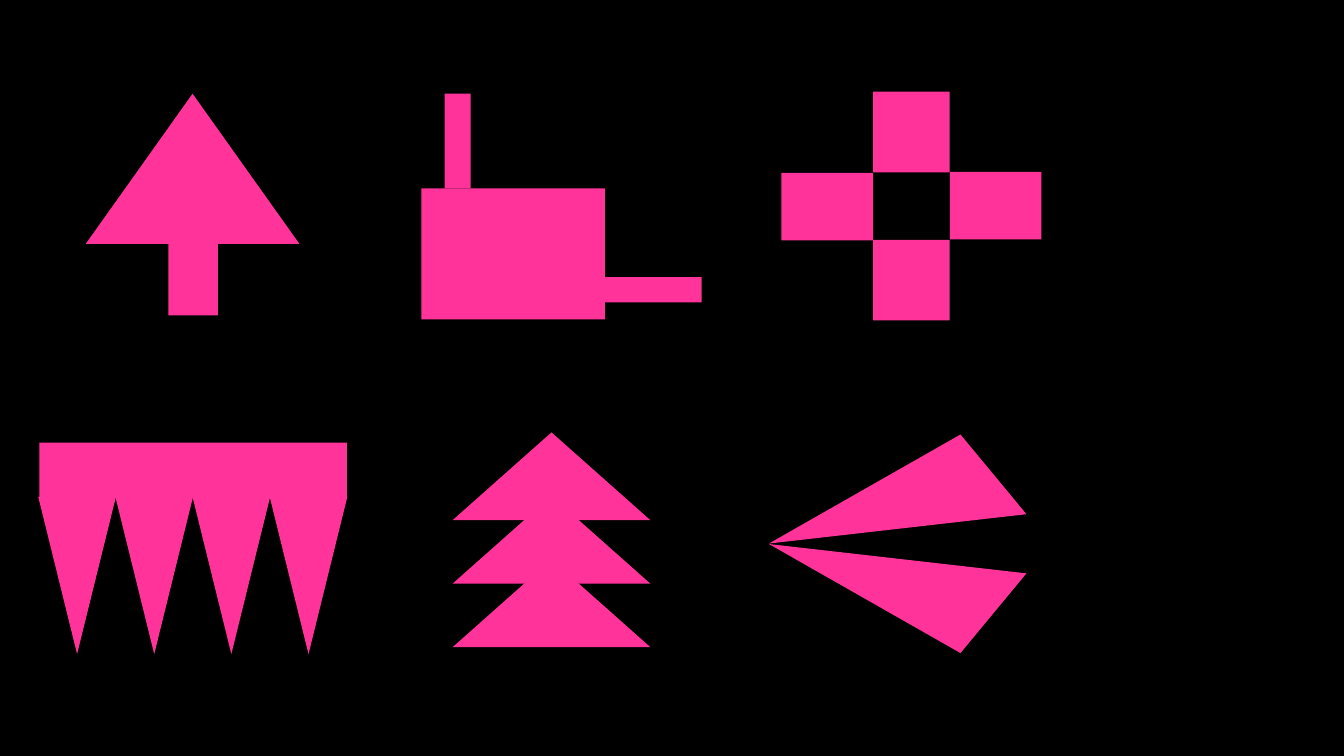
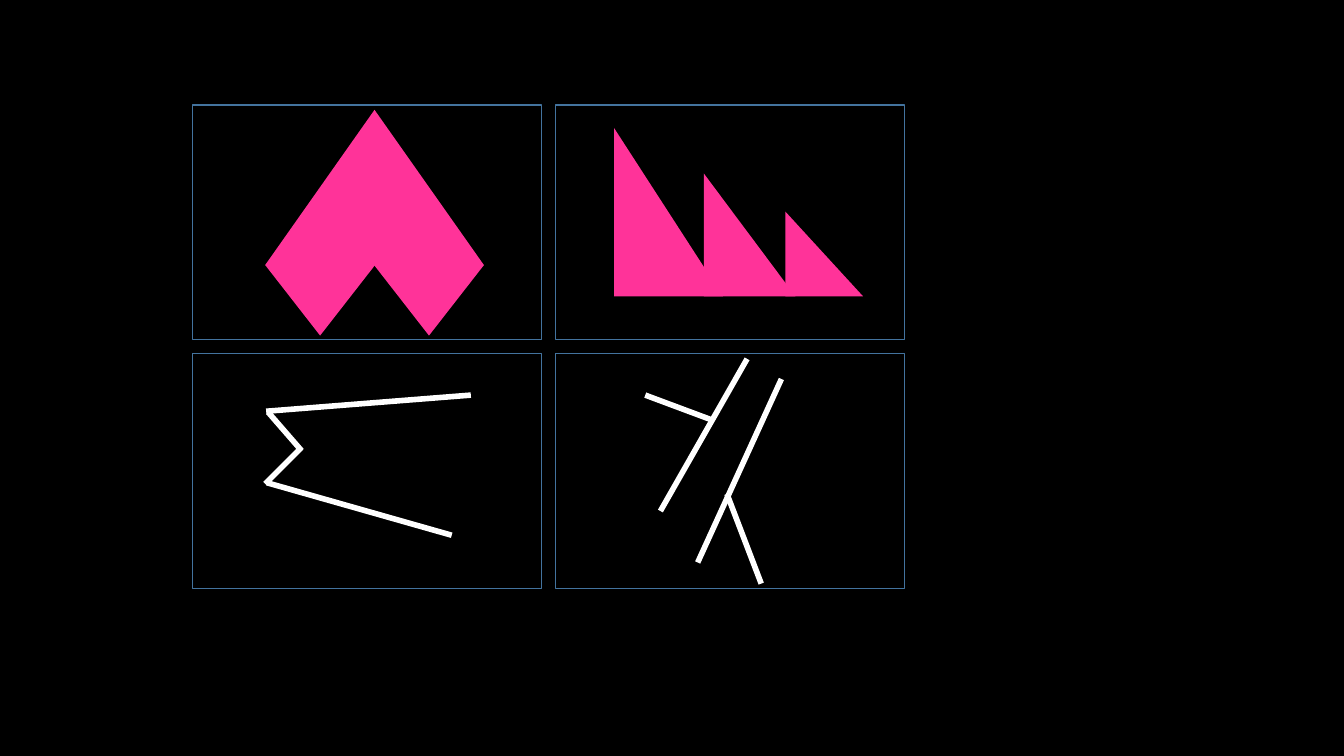
"""Build two slides of abstract figures, each figure placed in a cell of a grid."""
from dataclasses import dataclass

from lxml import etree
from pptx import Presentation
from pptx.dml.color import RGBColor
from pptx.enum.shapes import MSO_CONNECTOR, MSO_SHAPE
from pptx.oxml.ns import qn
from pptx.util import Inches, Pt

RECTANGLE = MSO_SHAPE.RECTANGLE
TRIANGLE = MSO_SHAPE.ISOSCELES_TRIANGLE
RIGHT_TRIANGLE = MSO_SHAPE.RIGHT_TRIANGLE
STRAIGHT = MSO_CONNECTOR.STRAIGHT


@dataclass(frozen=True)
class Theme:
    background: RGBColor = RGBColor.from_string("000000")
    figure: RGBColor = RGBColor.from_string("FF3399")
    frame: RGBColor = RGBColor.from_string("43739E")
    stroke: RGBColor = RGBColor.from_string("FFFFFF")
    frame_width: float = 1
    stroke_width: float = 4


THEME = Theme()
COLUMN_PITCH = 3.6
FRAME_WIDTH, FRAME_HEIGHT = 3.46, 2.33


def add_figure(shapes, origin, kind, box, fill=None, line=None, rotation=0, flipped=False, apex=None):
    """Add a preset shape whose box is measured from the cell origin."""
    left, top, width, height = box
    shape = shapes.add_shape(kind, Inches(origin[0] + left), Inches(origin[1] + top),
                             Inches(width), Inches(height))
    shape.shadow.inherit = False
    shape.rotation = rotation
    if fill is None:
        shape.fill.background()
    else:
        shape.fill.solid()
        shape.fill.fore_color.rgb = fill
    if line is None:
        shape.line.fill.background()
    else:
        shape.line.color.rgb = line
        shape.line.width = Pt(THEME.frame_width)
    if flipped:
        shape.element.spPr.find(qn("a:xfrm")).set("flipV", "1")
    if apex is not None:
        shape.adjustments[0] = apex


def add_stroke(shapes, origin, start, end):
    """Add a thick line whose ends are measured from the cell origin."""
    points = [Inches(base + offset) for point in (start, end) for base, offset in zip(origin, point)]
    connector = shapes.add_connector(STRAIGHT, *points)
    connector.line.color.rgb = THEME.stroke
    connector.line.width = Pt(THEME.stroke_width)
    etree.SubElement(connector.element.spPr, qn("a:effectLst"))


FLIPPED = {"flipped": True}

teeth = [(RECTANGLE, (0.01, 0.1, 3.05, 0.55), {})]
teeth += [(TRIANGLE, (0.765 * index, 0.64, 0.77, 1.56), FLIPPED) for index in range(4)]
arrow = [
    (TRIANGLE, (0.47, 0, 2.12, 1.49), {}),
    (RECTANGLE, (1.29, 1.48, 0.49, 0.72), {}),
]
block_with_arms = [
    (RECTANGLE, (0.2, 0.94, 1.82, 1.3), {}),
    (RECTANGLE, (0.43, 0, 0.26, 0.94), {}),
    (RECTANGLE, (2.02, 1.82, 0.96, 0.25), {}),
]
fir_tree = [(TRIANGLE, (0.51, 0.63 * index, 1.96, 0.87), {}) for index in range(3)]
beak = [
    (TRIANGLE, (-0.01, 0.1, 2.57, 0.86), {"rotation": -6.5, "apex": 0.782}),
    (TRIANGLE, (-0.01, 1.25, 2.57, 0.86), {"rotation": 6.5, "apex": 0.782, "flipped": True}),
]
cross = [(RECTANGLE, (1.08, top, 0.76, 0.8), {}) for top in (-0.02, 1.45)]
cross += [(RECTANGLE, (left, top, 0.91, 0.67), {}) for left, top in ((1.84, 0.775), (0.17, 0.785))]

spade = [(TRIANGLE, (0.72, 0.05, 2.17, 1.54), {})]
spade += [(TRIANGLE, (left, 1.59, 1.09, 0.7), FLIPPED) for left in (0.72, 1.8)]
sails = [
    (RIGHT_TRIANGLE, (left, 1.9 - height, width, height), {})
    for left, width, height in ((0.58, 1.08, 1.67), (1.47, 0.91, 1.22), (2.28, 0.77, 0.84))
]
open_jaw = [
    ((2.76, 0.41), (0.73, 0.57)),
    ((2.57, 1.8), (0.74, 1.28)),
    ((1.08, 0.96), (0.75, 0.58)),
    ((0.72, 1.29), (1.08, 0.93)),
]
branches = [
    ((1.9, 0.05), (1.04, 1.56)),
    ((2.24, 0.25), (1.41, 2.07)),
    ((1.7, 1.39), (2.04, 2.28)),
    ((0.89, 0.41), (1.56, 0.66)),
]

SLIDES = [
    {
        "left": 0.38, "top": 0.93, "row_pitch": 3.36, "framed": False,
        "figures": [[arrow, block_with_arms, cross], [teeth, fir_tree, beak]],
        "strokes": [],
    },
    {
        "left": 1.91, "top": 1.04, "row_pitch": 2.47, "framed": True,
        "figures": [[spade, sails]],
        "strokes": [[], [open_jaw, branches]],
    },
]

presentation = Presentation()
presentation.slide_width, presentation.slide_height = Inches(13.33), Inches(7.5)

for layout in SLIDES:
    slide = presentation.slides.add_slide(presentation.slide_layouts[6])
    slide.background.fill.solid()
    slide.background.fill.fore_color.rgb = THEME.background
    origins = [
        [(layout["left"] + column * COLUMN_PITCH, layout["top"] + row * layout["row_pitch"])
         for column in range(3)]
        for row in range(2)
    ]
    if layout["framed"]:
        for origin_row in origins:
            for origin in origin_row[:2]:
                add_figure(slide.shapes, origin, RECTANGLE, (0, 0, FRAME_WIDTH, FRAME_HEIGHT),
                           line=THEME.frame)
    for origin_row, figure_row in zip(origins, layout["figures"]):
        for origin, figure in zip(origin_row, figure_row):
            group = slide.shapes.add_group_shape()
            for kind, box, options in figure:
                add_figure(group.shapes, origin, kind, box, fill=THEME.figure, **options)
    for origin_row, stroke_row in zip(origins, layout["strokes"]):
        for origin, strokes in zip(origin_row, stroke_row):
            group = slide.shapes.add_group_shape()
            for start, end in strokes:
                add_stroke(group.shapes, origin, start, end)

presentation.save("out.pptx")
